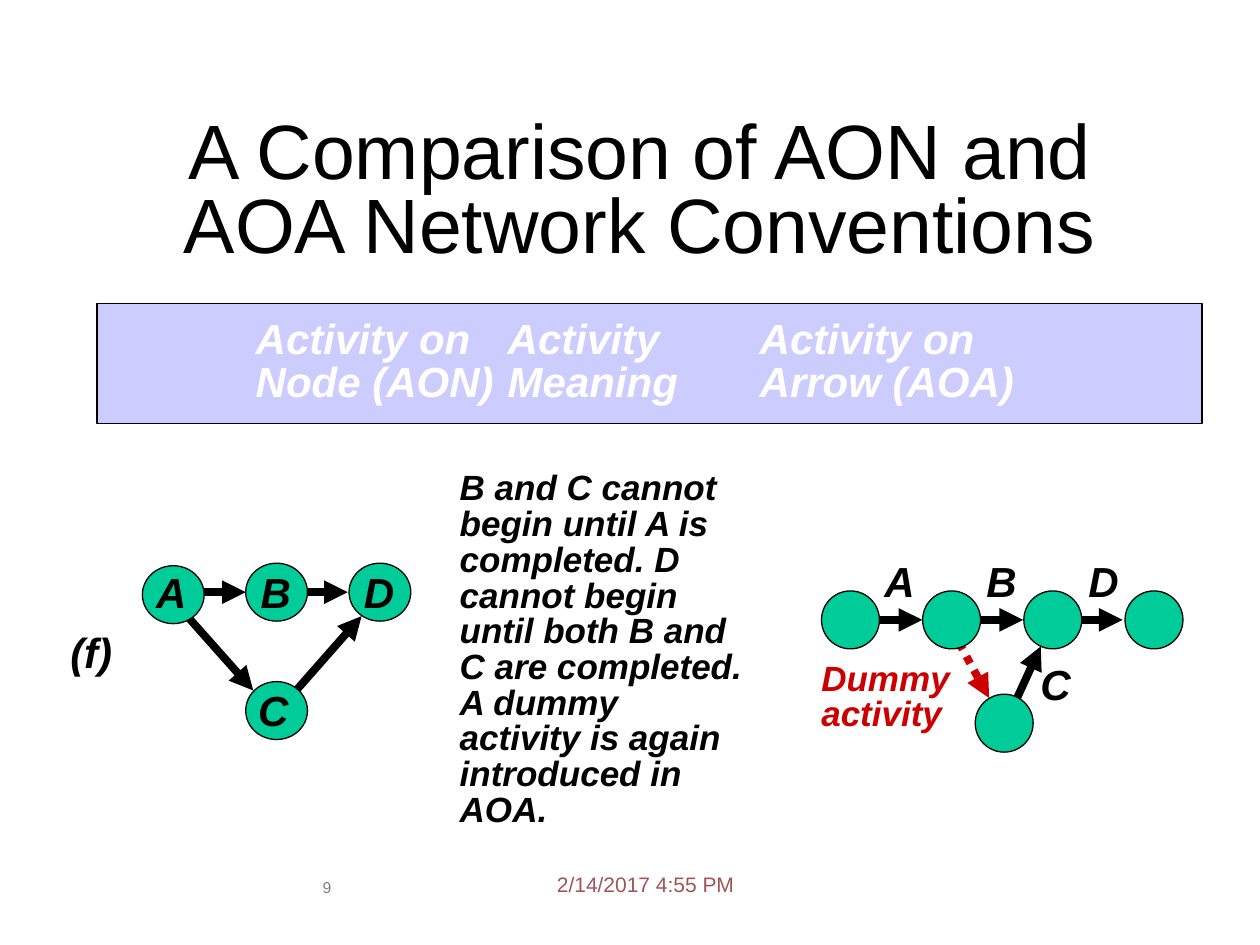
from pptx import Presentation
from pptx.dml.color import RGBColor
from pptx.enum.dml import MSO_LINE as Dash
from pptx.enum.shapes import MSO_CONNECTOR as Link, MSO_SHAPE as Kind
from pptx.enum.text import MSO_ANCHOR as Anchor, PP_ALIGN as Align
from pptx.oxml.ns import qn
from pptx.util import Inches, Pt
from lxml.etree import SubElement

rgb = RGBColor.from_string


def write(frame, lines, size, color="000000", bold=True, space=None,
          align=None, wrap=True, pad=(0.1, 0.05), tabs=()):
    frame.word_wrap = wrap
    frame.margin_left = frame.margin_right = Inches(pad[0])
    frame.margin_top = frame.margin_bottom = Inches(pad[1])
    for i, line in enumerate(lines):
        para = frame.add_paragraph() if i else frame.paragraphs[0]
        para.alignment = align
        para.line_spacing = space
        if tabs:
            stops = SubElement(para._p.get_or_add_pPr(), qn("a:tabLst"))
            for stop in tabs:
                SubElement(stops, qn("a:tab"), pos=str(Inches(stop)), algn="l")
        run = para.add_run()
        run.text = line
        font = run.font
        font.name, font.size = "Arial", Pt(size)
        font.bold = font.italic = bold
        font.color.rgb = rgb(color)


def arrow(x1, y1, x2, y2, color="000000", dash=None):
    link = slide.shapes.add_connector(
        Link.STRAIGHT, Inches(x1), Inches(y1), Inches(x2), Inches(y2))
    link.line.width = Pt(4.5)
    link.line.color.rgb = rgb(color)
    if dash:
        link.line.dash_style = dash
    SubElement(link.line._get_or_add_ln(), qn("a:tailEnd"), type="triangle")
    SubElement(link._element.spPr, qn("a:effectLst"))


deck = Presentation()
deck.slide_width, deck.slide_height = Inches(10), Inches(7.5)
slide = deck.slides.add_slide(deck.slide_layouts[5])

# Title
title = slide.shapes.title
title.left, title.top = Inches(0.83), Inches(0.87)
title.width, title.height = Inches(8.5), Inches(1.34)
title.text_frame.vertical_anchor = Anchor.MIDDLE
write(title.text_frame, ["A Comparison of AON and AOA Network Conventions"],
      44, bold=False, space=0.8, align=Align.CENTER)

# Arrows of the node network, then of the arrow network
for ends in [(1.45, 4.85, 2.01, 5.48), (2.28, 5.56, 2.87, 4.89),
             (1.43, 4.7, 1.95, 4.7), (2.25, 4.7, 2.76, 4.7)]:
    arrow(*ends)
for x in (6.81, 7.61, 8.4):
    arrow(x, 4.92, x + 0.51, 4.92)
arrow(8.04, 5.61, 8.26, 5.13)
arrow(7.61, 5.1, 7.85, 5.54, "CC0000", Dash.ROUND_DOT)

# Header band and network nodes
band = (Kind.RECTANGLE, 0.77, 2.41, 8.77, 0.95, "CCCCFF")
nodes = [(1.13, 4.49, 0.49), (1.95, 5.41, 0.49),
         (2.77, 4.47, 0.49), (1.95, 4.47, 0.49), (7.74, 5.51, 0.46)]
nodes += [(6.52 + 0.803 * i, 4.69, 0.46) for i in range(4)]
disks = [(Kind.OVAL, x, y, w, 0.46, "00CC99") for x, y, w in nodes]
for kind, x, y, w, h, fill in disks + [band]:
    shape = slide.shapes.add_shape(kind, Inches(x), Inches(y),
                                   Inches(w), Inches(h))
    shape.shadow.inherit = False
    shape.fill.solid()
    shape.fill.fore_color.rgb = rgb(fill)
    shape.line.color.rgb = rgb("000000")
    shape.line.width = Pt(0.75)

# Header text goes into the band, the last shape drawn
shape.text_frame.vertical_anchor = Anchor.TOP
write(shape.text_frame,
      ["\tActivity on\tActivity\tActivity on",
       "\tNode (AON)\tMeaning\tArrow (AOA)"],
      24, "FFFFFF", space=0.85, align=Align.LEFT, pad=(0.26, 0.13),
      tabs=(1, 3, 5))

# Letters on nodes and arrows, and the row mark
for text, x, y in [("A", 1.14, 4.45), ("B", 1.97, 4.45), ("C", 1.95, 5.38),
                   ("D", 2.79, 4.45), ("A", 6.92, 4.36), ("B", 7.73, 4.36),
                   ("C", 8.16, 5.18), ("D", 8.54, 4.36), ("(f)", 0.46, 4.92)]:
    wide = 0.44 if len(text) == 1 else 0.53
    box = slide.shapes.add_textbox(Inches(x), Inches(y),
                                   Inches(wide), Inches(0.5))
    write(box.text_frame, [text], 24, wrap=False)

# Meaning, dummy label, date and page number
meaning = ("B and C cannot begin until A is completed. D cannot begin until "
           "both B and C are completed. A dummy activity is again introduced "
           "in AOA.")
bold = dict(size=20, space=0.85)
small = dict(bold=False, pad=(0, 0))
for text, x, y, w, h, look in [
        (meaning, 3.55, 3.7, 2.48, 2.93, bold),
        ("Dummy activity", 6.42, 5.21, 1.4, 0.67, dict(bold, color="CC0000")),
        ("2/14/2017 4:55 PM", 4.42, 6.92, 1.67, 0.25,
         dict(small, size=12, color="9F5555")),
        ("9", 2.4, 6.97, 0.39, 0.34,
         dict(small, size=9, color="808080", align=Align.CENTER))]:
    box = slide.shapes.add_textbox(Inches(x), Inches(y), Inches(w), Inches(h))
    write(box.text_frame, [text], **look)

deck.save("out.pptx")
